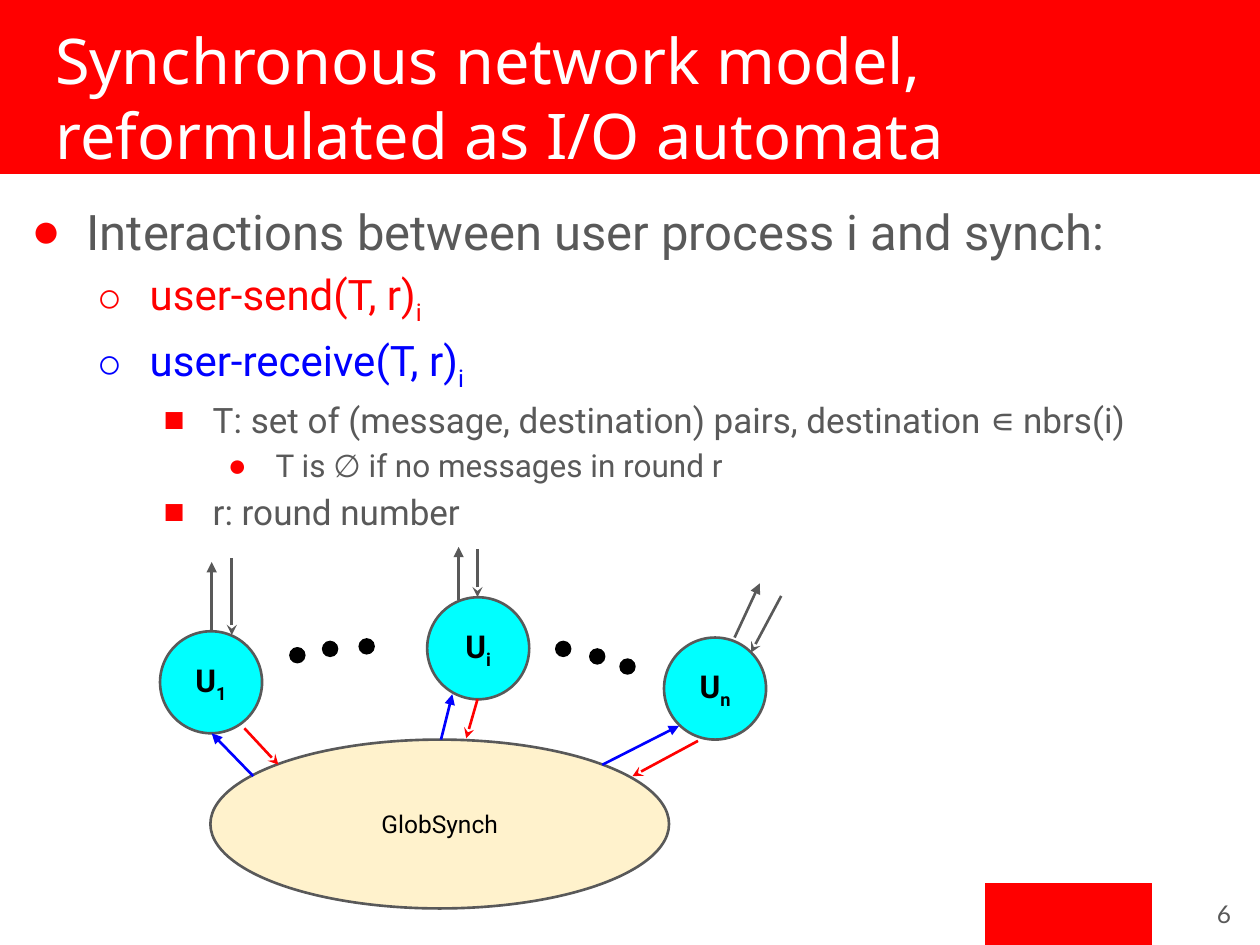
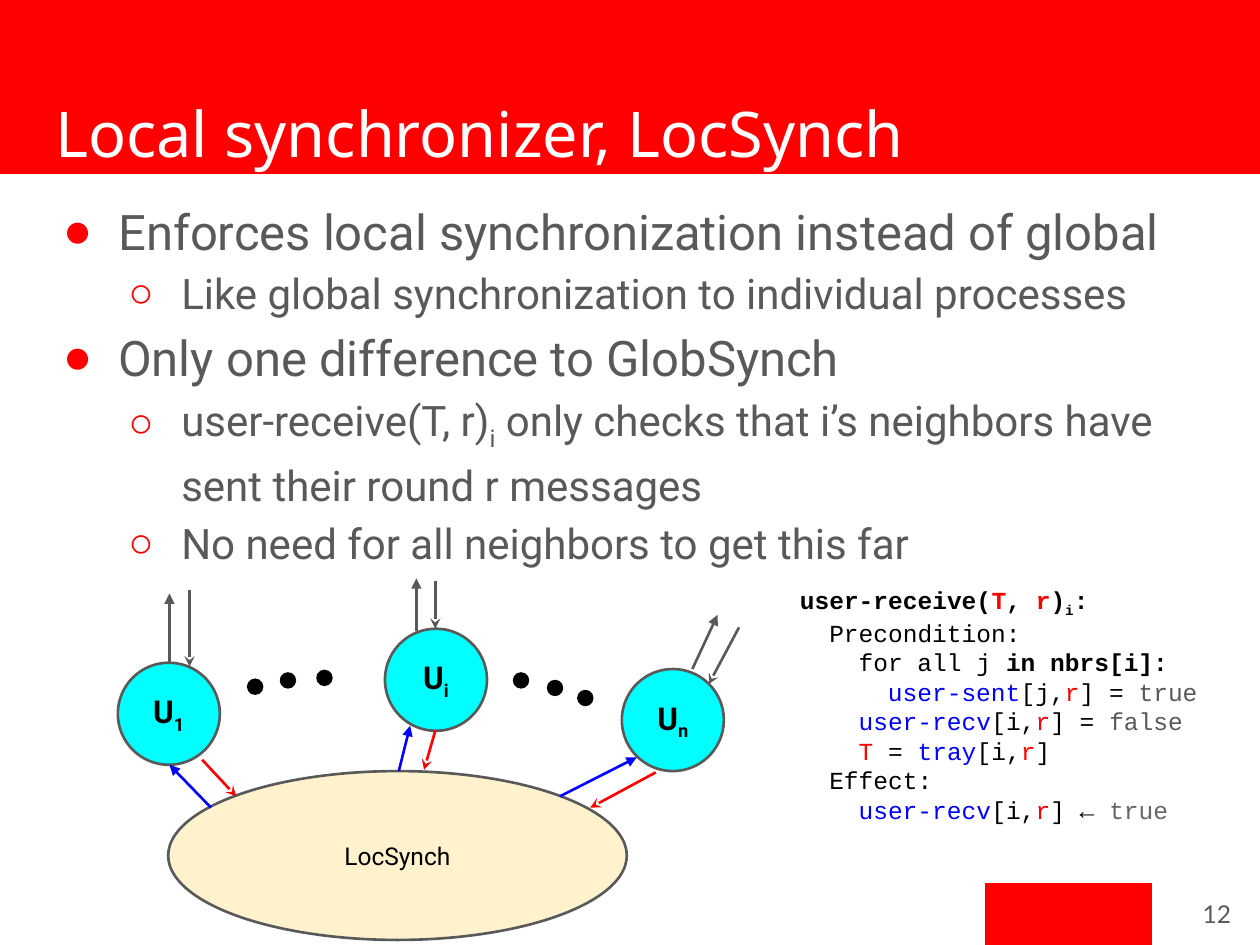
from lxml import etree
from pptx import Presentation
from pptx.dml.color import RGBColor
from pptx.enum.shapes import MSO_CONNECTOR, MSO_SHAPE
from pptx.enum.text import MSO_ANCHOR, PP_ALIGN
from pptx.oxml.ns import qn
from pptx.util import Inches, Pt

OVAL, RECT = MSO_SHAPE.OVAL, MSO_SHAPE.RECTANGLE
LINE = MSO_CONNECTOR.STRAIGHT
TOP, MID = MSO_ANCHOR.TOP, MSO_ANCHOR.MIDDLE
LEFT, MIDDLE, RIGHT = PP_ALIGN.LEFT, PP_ALIGN.CENTER, PP_ALIGN.RIGHT

RED, BLUE, CYAN, CREAM = "FF0000", "0000FF", "00FFFF", "FFF2CC"
GRAY, SILVER, BLACK, WHITE = "595959", "666666", "000000", "FFFFFF"

# Grid: 100 columns by 75 rows
deck = Presentation()
deck.slide_width, deck.slide_height = Inches(10), Inches(7.5)
COL, ROW = deck.slide_width / 100, deck.slide_height / 75

# Paragraph styles: size, left indent, hanging part, bullet, line spacing
TITLE = (36, 0, 0, None, 1)
NODE = (18, 0, 0, None, 1)
SMALL = (14, 0, 0, None, 1)
LEVELS = [(28, 5, 4.4, "●", 1.15), (24, 10, 4.2, "○", 1.15),
          (20, 15, 3.9, "■", 1.15), (18, 20, 3.8, "●", 1.15)]
STEP = 2.33  # two code characters, in columns
CODE = [(14, STEP * n, 0, None, 1) for n in range(4)]


def rgb(code):
    return RGBColor.from_string(code)


def write(shape, font, paras, align=LEFT, anchor=TOP):
    """Each run is text, colour and flags: b for bold, s for subscript."""
    frame = shape.text_frame
    frame.word_wrap, frame.vertical_anchor = True, anchor
    frame.margin_left = frame.margin_right = Inches(0.1)
    frame.margin_top = frame.margin_bottom = Inches(0.1)
    for n, (style, runs) in enumerate(paras):
        size, left, hang, mark, space = style
        para = frame.add_paragraph() if n else frame.paragraphs[0]
        para.alignment, para.line_spacing = align, space
        props = para._p.get_or_add_pPr()
        props.set("marL", str(int(left * COL)))
        props.set("indent", str(int(-hang * COL)))
        if mark:
            para.level = LEVELS.index(style)
            tint = BLUE if runs[0][1] == BLUE else RED
            color = etree.SubElement(props, qn("a:buClr"))
            etree.SubElement(color, qn("a:srgbClr"), val=tint)
            etree.SubElement(props, qn("a:buFont"), typeface="Arial")
            etree.SubElement(props, qn("a:buChar"), char=mark)
        for text, color, *flags in runs:
            run = para.add_run()
            run.text = text
            run.font.name, run.font.size = font, Pt(size)
            run.font.color.rgb = rgb(color)
            run.font.bold = "b" in flags
            if "s" in flags:
                run._r.get_or_add_rPr().set("baseline", "-25000")


# Content of the slides
first = [
    (LEVELS[0], [("Interactions between user process i and synch:", GRAY)]),
    (LEVELS[1], [("user-send(T, r)", RED), ("i", RED, "s")]),
    (LEVELS[1], [("user-receive(T, r)", BLUE), ("i", BLUE, "s")]),
    (LEVELS[2], [("T: set of (message, destination) pairs, "
                  "destination ∊ nbrs(i)", GRAY)]),
    (LEVELS[3], [("T is ∅ if no messages in round r", GRAY)]),
    (LEVELS[2], [("r: round number", GRAY)]),
]
second = [
    (LEVELS[0], [("Enforces local synchronization instead of global", GRAY)]),
    (LEVELS[1], [("Like global synchronization to individual processes",
                  GRAY)]),
    (LEVELS[0], [("Only one difference to GlobSynch", GRAY)]),
    (LEVELS[1], [("user-receive(T, r)", GRAY), ("i", GRAY, "s"),
                 (" only checks that i’s neighbors have sent their "
                  "round r messages", GRAY)]),
    (LEVELS[1], [("No need for all neighbors to get this far", GRAY)]),
]
cell = [("[i,", BLACK), ("r", RED)]
code = [
    (CODE[0], [("user-receive(", BLACK, "b"), ("T", RED, "b"),
               (", ", BLACK, "b"), ("r", RED, "b"), (")", BLACK, "b"),
               ("i", BLACK, "b", "s"), (":", BLACK, "b")]),
    (CODE[1], [("Precondition:", BLACK)]),
    (CODE[2], [("for all j", BLACK), (" in nbrs[i]:", BLACK, "b")]),
    (CODE[3], [("user-sent", BLUE), ("[j,", BLACK), ("r", RED),
               ("] = ", BLACK), ("true", GRAY)]),
    (CODE[2], [("user-recv", BLUE), *cell, ("] = ", BLACK), ("false", GRAY)]),
    (CODE[2], [("T", RED), (" = ", BLACK), ("tray", BLUE), *cell,
               ("]", BLACK)]),
    (CODE[1], [("Effect:", BLACK)]),
    (CODE[2], [("user-recv", BLUE), *cell, ("] ← ", BLACK),
               ("true", SILVER)]),
]

# Title, title row, body, body box, page, synch name, diagram shift, code
pages = [
    ("Synchronous network model, reformulated as I/O automata", 0.7,
     first, (0.9, 14.3, 97.7, 32.8), "6", "GlobSynch", (0, 0), None),
    ("Local synchronizer, LocSynch", 6.5,
     second, (3.4, 14.3, 94.1, 27.8), "12", "LocSynch", (-3.35, 2.5), code),
]

# Diagram: users, dots, and arrows that end or start at a user
users = [("1", 12.7, 50.1), ("i", 33.9, 47.4), ("n", 52.7, 50.6)]
dots = [(23, 51.4), (25.6, 50.9), (28.5, 50.7),
        (44.1, 50.9), (46.8, 51.5), (49.2, 52.3)]
ups = [(BLUE, 20.1, 61.6, 16.8, 58.2), (BLUE, 35, 58.7, 35.9, 55.1),
       (BLUE, 47.8, 60.7, 53.9, 57.6), (GRAY, 58.3, 50.6, 60.3, 46.3),
       (GRAY, 36.4, 47.6, 36.4, 43.4), (GRAY, 16.8, 50.1, 16.8, 44.6)]
downs = [(RED, 22.1, 60.7, 19.4, 57.8), (RED, 37, 58.6, 37.9, 55.5),
         (RED, 50.2, 61.6, 55.4, 58.8), (GRAY, 59.6, 51.8, 62, 47.3),
         (GRAY, 37.9, 47.4, 37.9, 43.6), (GRAY, 18.4, 50.4, 18.4, 44.3)]
arrows = ([(*a, "a:tailEnd", "triangle") for a in ups]
          + [(*a, "a:headEnd", "stealth") for a in downs])

for title, row, body, place, page, name, (dx, dy), code in pages:
    slide = deck.slides.add_slide(deck.slide_layouts[6])
    slide.background.fill.solid()
    slide.background.fill.fore_color.rgb = rgb(WHITE)

    # Band, footer block, synch, users and dots
    forms = [
        (RECT, 0, 0, 100, 13.8, RED, RED, 0.75, None),
        (RECT, 78.2, 70.1, 13.2, 4.9, RED, RED, 0.75, None),
        (OVAL, 16.7 + dx, 58.7 + dy, 36.4, 13.4, CREAM, GRAY, 1.5,
         ("Roboto", [(SMALL, [(name, BLACK)])])),
    ]
    forms += [(OVAL, x + dx, y + dy, 8.1, 8.1, CYAN, GRAY, 1.5,
               ("Roboto", [(NODE, [("U", BLACK, "b"),
                                   (sub, BLACK, "b", "s")])]))
              for sub, x, y in users]
    forms += [(OVAL, x + dx, y + dy, 1.2, 1.2, BLACK, BLACK, 0.75, None)
              for x, y in dots]
    for kind, x, y, w, h, fill, edge, width, label in forms:
        shape = slide.shapes.add_shape(
            kind, int(x * COL), int(y * ROW), int(w * COL), int(h * ROW))
        shape.shadow.inherit = False
        shape.fill.solid()
        shape.fill.fore_color.rgb = rgb(fill)
        shape.line.color.rgb = rgb(edge)
        shape.line.width = Pt(width)
        if label:
            write(shape, *label, MIDDLE, MID)

    # Arrows
    for color, x1, y1, x2, y2, end, tip in arrows:
        line = slide.shapes.add_connector(
            LINE, int((x1 + dx) * COL), int((y1 + dy) * ROW),
            int((x2 + dx) * COL), int((y2 + dy) * ROW))
        line.line.color.rgb = rgb(color)
        line.line.width = Pt(1.5)
        etree.SubElement(line.line._get_or_add_ln(), qn(end), type=tip)
        etree.SubElement(line._element.spPr, qn("a:effectLst"))

    # Title, body, page number and code
    texts = [
        ((3.4, row, 93.2, 8.3), "Noto Sans", [(TITLE, [(title, WHITE)])],
         LEFT, TOP),
        (place, "Roboto", body, LEFT, TOP),
        ((92.7, 69.7, 6, 5.7), "Lato", [(SMALL, [(page, GRAY)])], RIGHT, MID),
    ]
    if code:
        texts.append(((62.5, 45.4, 42.1, 33.3), "Courier New", code,
                      LEFT, TOP))
    for (x, y, w, h), font, paras, align, anchor in texts:
        box = slide.shapes.add_textbox(
            int(x * COL), int(y * ROW), int(w * COL), int(h * ROW))
        write(box, font, paras, align, anchor)

deck.save("out.pptx")
